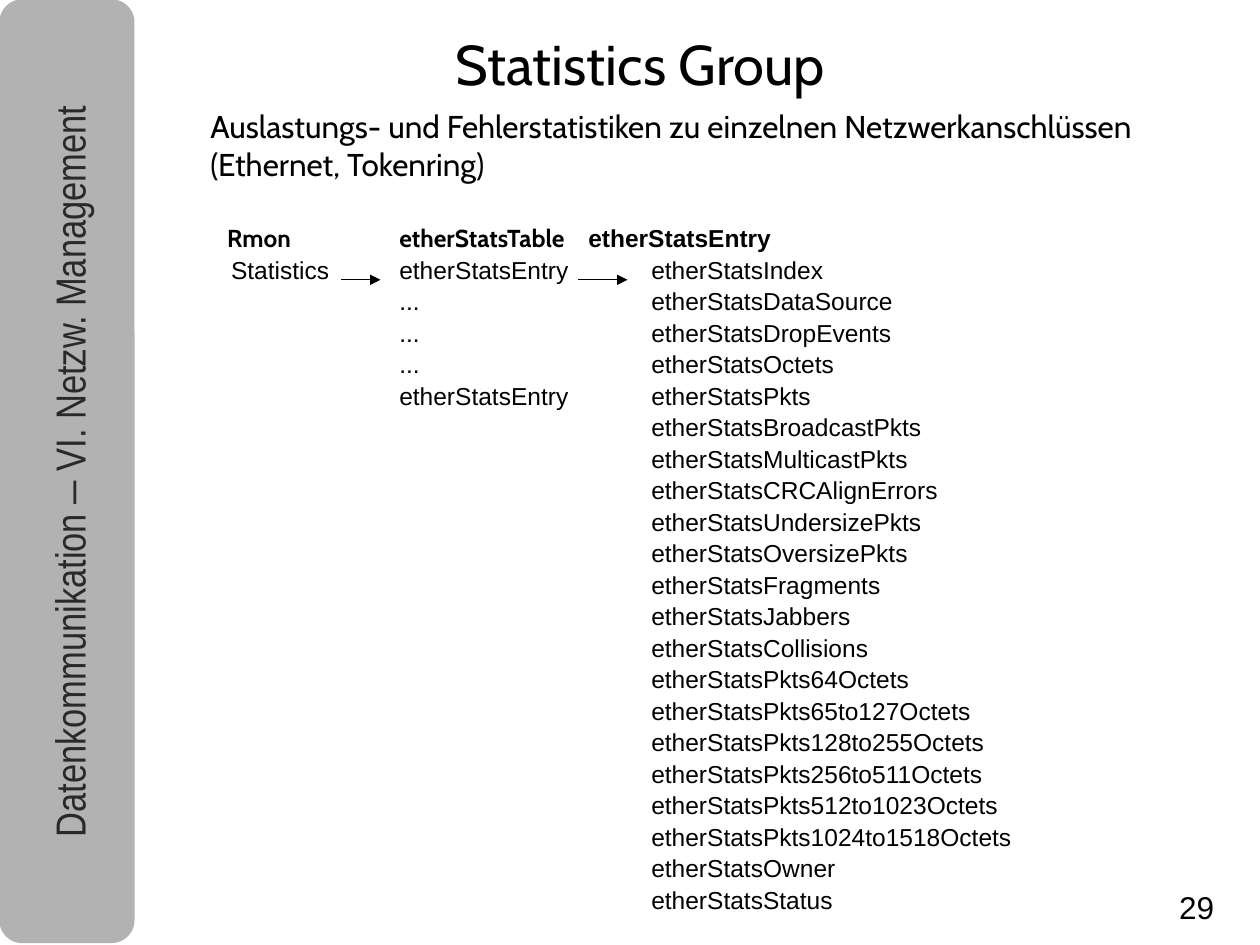
from pptx import Presentation
from pptx.util import Cm, Pt
from pptx.dml.color import RGBColor
from pptx.enum.shapes import MSO_SHAPE, MSO_CONNECTOR
from pptx.enum.text import MSO_ANCHOR, PP_ALIGN
from pptx.oxml.ns import qn
from lxml.etree import SubElement

theme = {
    "bar": RGBColor(0xB2, 0xB2, 0xB2), "side": RGBColor(0x29, 0x29, 0x29),
    "ink": RGBColor(0, 0, 0),
    "head": "Cabin", "body": "Arial", "slim": "Arial Narrow",
    "title": 32, "label": 24, "lead": 18, "row": 14,
}


def frame(left, top, width, height, wrap=True, pad=True):
    box = slide.shapes.add_textbox(Cm(left), Cm(top), Cm(width), Cm(height))
    text = box.text_frame
    text.word_wrap = wrap
    if not pad:
        text.margin_left = text.margin_right = 0
        text.margin_top = text.margin_bottom = 0
    return box, text


def write(par, text, size="row", font="body", color="ink", bold=False):
    run = par.add_run()
    run.text = text
    run.font.size = Pt(theme[size])
    run.font.name = theme[font]
    run.font.color.rgb = theme[color]
    run.font.bold = bold


deck = Presentation()
deck.slide_width, deck.slide_height = Cm(25.4), Cm(19.05)
slide = deck.slides.add_slide(deck.slide_layouts[6])

# Side bar with the turned course title
bar = slide.shapes.add_shape(MSO_SHAPE.ROUNDED_RECTANGLE, 0, 0, Cm(2.7), Cm(19))
bar.shadow.inherit = False
bar.fill.solid()
bar.fill.fore_color.rgb = theme["bar"]
bar.line.color.rgb = theme["bar"]
bar.line.width = Pt(0.75)

box, text = frame(-7.44, 8.25, 19, 2.51)
box.rotation = 270
par = text.paragraphs[0]
par.alignment = PP_ALIGN.CENTER
par.line_spacing = 0.98
par.space_before = Pt(13)
for part, font in (("Datenkommunikation ", "slim"), ("–", "body"),
                   (" VI. Netzw. Management", "slim")):
    write(par, part, size="label", font=font, color="side")

# Title
box, text = frame(8.94, 0.48, 8.48, 1.6, wrap=False)
text.vertical_anchor = MSO_ANCHOR.MIDDLE
write(text.paragraphs[0], "Statistics Group", size="title", font="head")

# Lead sentence
box, text = frame(3.99, 2.03, 20.47, 16.03)
write(text.paragraphs[0], "Auslastungs- und Fehlerstatistiken zu einzelnen "
      "Netzwerkanschlüssen (Ethernet, Tokenring)", size="lead", font="head")

# Columns of the group, its table and the entry fields
fields = """Index DataSource DropEvents Octets Pkts BroadcastPkts MulticastPkts
CRCAlignErrors UndersizePkts OversizePkts Fragments Jabbers Collisions
Pkts64Octets Pkts65to127Octets Pkts128to255Octets Pkts256to511Octets
Pkts512to1023Octets Pkts1024to1518Octets Owner Status""".split()
entry = "etherStatsEntry"
mid = [entry, "...", "...", "...", entry]
rows = [("Rmon", "etherStatsTable", entry)]
for i, field in enumerate(fields):
    rows.append(("Statistics" if i == 0 else "",
                 mid[i] if i < len(mid) else "", "etherStats" + field))

for i, row in enumerate(rows):
    top = i == 0
    par = text.add_paragraph()
    par.line_spacing = Pt(18)
    par.space_before = Pt(22 if top else 0)
    tabs = SubElement(par._p.get_or_add_pPr(), qn("a:tabLst"))
    for stop in (0.34 if top else 0.42, 3.81, 7.62 if top else 8.89):
        SubElement(tabs, qn("a:tab"), pos=str(int(Cm(stop))), algn="l")
    for j, cell in enumerate(row):
        write(par, "\t" + cell, bold=top,
              font="head" if top and j < 2 else "body")

# Arrows between the columns
for start, end in ((6.88, 7.67), (11.66, 12.65)):
    arrow = slide.shapes.add_connector(
        MSO_CONNECTOR.STRAIGHT, Cm(start), Cm(5.64), Cm(end), Cm(5.64))
    arrow.line.color.rgb = theme["ink"]
    arrow.line.width = Pt(0.75)
    SubElement(arrow.line._get_or_add_ln(), qn("a:tailEnd"), type="triangle")
    SubElement(arrow._element.spPr, qn("a:effectLst"))

# Page number
box, text = frame(23.77, 17.91, 1.27, 0.84, wrap=False, pad=False)
write(text.paragraphs[0], "29", size="lead")

deck.save("out.pptx")
